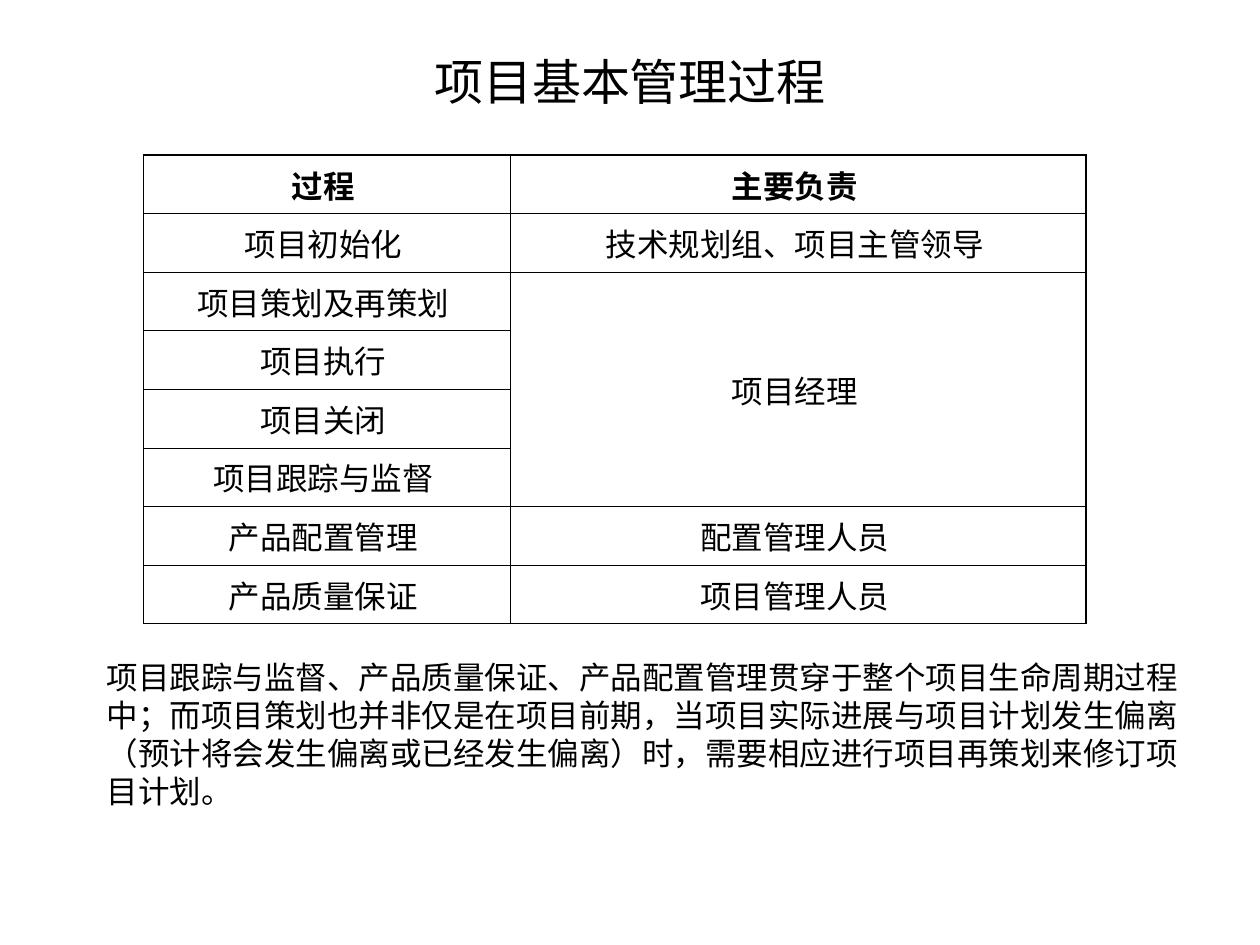
from pptx import Presentation
from pptx.dml.color import RGBColor
from pptx.enum.text import MSO_ANCHOR as Anchor, PP_ALIGN as Align
from pptx.oxml.ns import qn
from pptx.util import Inches, Pt
from lxml.etree import SubElement

COLORS = {"text": "000000", "border": "000000"}
CJK = "Noto Sans CJK SC"
LINE_HEIGHT = Pt(21.7)
THIN, THICK = Pt(0.45), Pt(1.08)

# Process, person in charge, rows spanned by the latter
HEADER = ("过程 ", "主要负责 ", 1)
PROCESSES = [
    ("项目初始化 ", "技术规划组、项目主管领导 ", 1),
    ("项目策划及再策划 ", "项目经理 ", 4),
    ("项目执行 ", None, 0),
    ("项目关闭 ", None, 0),
    ("项目跟踪与监督 ", None, 0),
    ("产品配置管理 ", "配置管理人员 ", 1),
    ("产品质量保证 ", "项目管理人员 ", 1),
]
SUMMARY = (
    "项目跟踪与监督、产品质量保证、产品配置管理贯穿于整个项目生命周期过程中；"
    "而项目策划也并非仅是在项目前期，当项目实际进展与项目计划发生偏离"
    "（预计将会发生偏离或已经发生偏离）时，需要相应进行项目再策划来修订项目计划。"
)


class SlideBuilder:
    title_font = {"name": "Arial", "size": Pt(28), "bold": False}
    body_font = {"name": CJK, "size": Pt(18), "bold": False}
    header_font = {**body_font, "bold": True}
    body_paragraph = {"alignment": Align.LEFT, "line_spacing": LINE_HEIGHT}
    cell_paragraph = {**body_paragraph, "alignment": Align.CENTER}
    cell_format = {
        "vertical_anchor": Anchor.MIDDLE,
        "margin_top": Inches(0.11),
        "margin_bottom": Inches(0.05),
    }

    def __init__(self, slide):
        self.slide = slide

    def apply(self, target, values):
        for name, value in values.items():
            setattr(target, name, value)

    def put_text(self, frame, text, font, paragraph_format):
        paragraph = frame.paragraphs[0]
        self.apply(paragraph, paragraph_format)
        run = paragraph.add_run()
        run.text = text
        self.apply(run.font, font)
        run.font.color.rgb = RGBColor.from_string(COLORS["text"])
        SubElement(run.font._element, qn("a:ea"), typeface=CJK)

    def title(self, text, box):
        title = self.slide.shapes.title
        title.left, title.top, title.width, title.height = map(Inches, box)
        title.text_frame.vertical_anchor = Anchor.MIDDLE
        self.put_text(title.text_frame, text, self.title_font,
                      {"alignment": Align.CENTER})

    def text(self, text, box):
        frame = self.slide.shapes.add_textbox(*map(Inches, box)).text_frame
        frame.word_wrap = True
        self.put_text(frame, text, self.body_font, self.body_paragraph)

    def borders(self, cell, widths):
        properties = cell._tc.get_or_add_tcPr()
        for index, (side, width) in enumerate(widths.items()):
            line = SubElement(properties, qn(f"a:ln{side}"), w=str(width))
            fill = SubElement(line, qn("a:solidFill"))
            SubElement(fill, qn("a:srgbClr"), val=COLORS["border"])
            properties.insert(index, line)

    def table(self, rows, box, column_widths):
        frame = self.slide.shapes.add_table(
            len(rows), len(column_widths), *map(Inches, box))
        table = frame.table
        self.apply(table, {"first_row": False, "horz_banding": False})
        for column, width in zip(table.columns, column_widths):
            column.width = Inches(width)

        for r, (process, owner, span) in enumerate(rows):
            if span > 1:
                table.cell(r, 1).merge(table.cell(r + span - 1, 1))
            for c, text in enumerate((process, owner)):
                cell = table.cell(r, c)
                cell.fill.background()
                if text is None:
                    continue
                last_row = r + (span if c else 1) == len(rows)
                self.apply(cell, self.cell_format)
                self.borders(cell, {
                    "L": THIN if c else THICK,
                    "R": THICK if c else THIN,
                    "T": THIN if r else THICK,
                    "B": THICK if last_row else THIN,
                })
                self.put_text(cell.text_frame, text,
                              self.body_font if r else self.header_font,
                              self.cell_paragraph)


def main():
    presentation = Presentation()
    presentation.slide_width = Inches(10)
    presentation.slide_height = Inches(7.5)
    title_only = presentation.slide_layouts[5]
    builder = SlideBuilder(presentation.slides.add_slide(title_only))

    # Heading
    builder.title("项目基本管理过程", (0.5, 0.3, 9, 0.69))

    # Processes and who is in charge of them
    builder.table([HEADER, *PROCESSES], (1.14, 1.23, 7.48, 3.72), (2.91, 4.57))

    # Closing explanation
    builder.text(SUMMARY, (0.75, 5.17, 8.74, 1.3))

    presentation.save("out.pptx")


if __name__ == "__main__":
    main()
